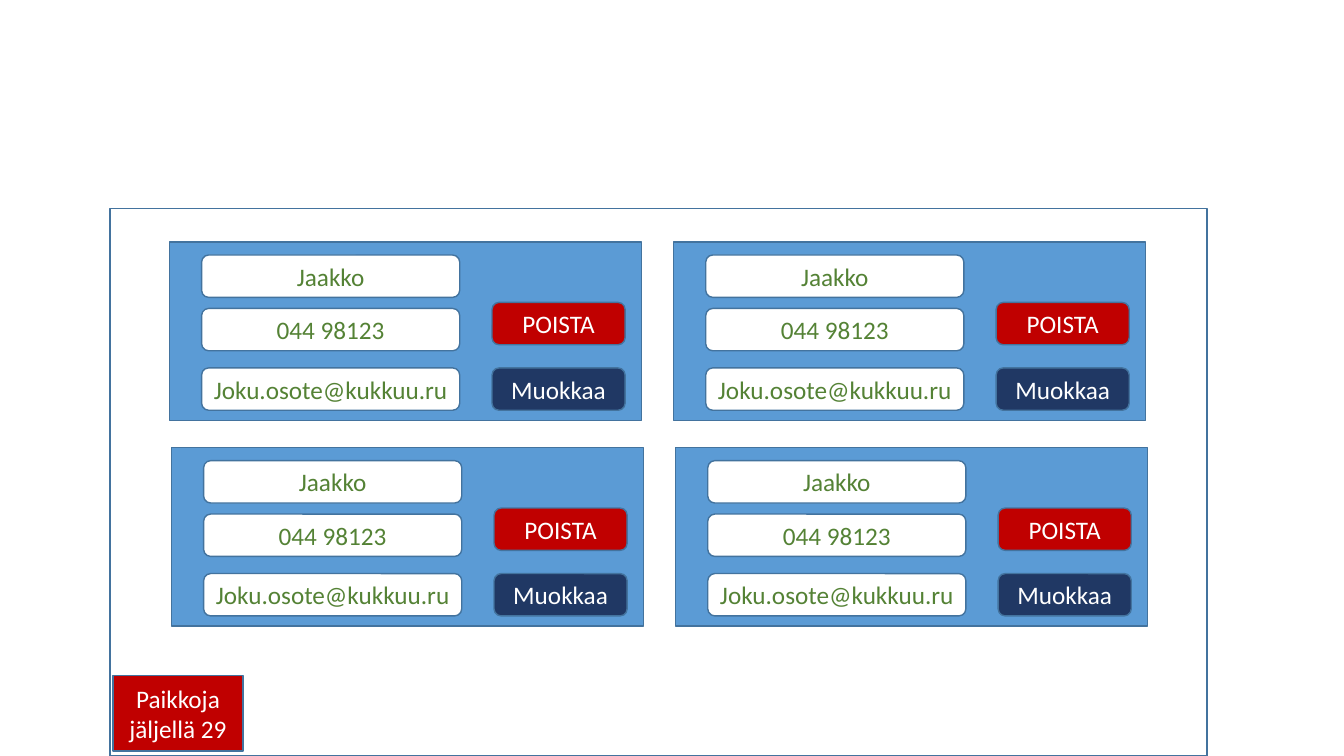
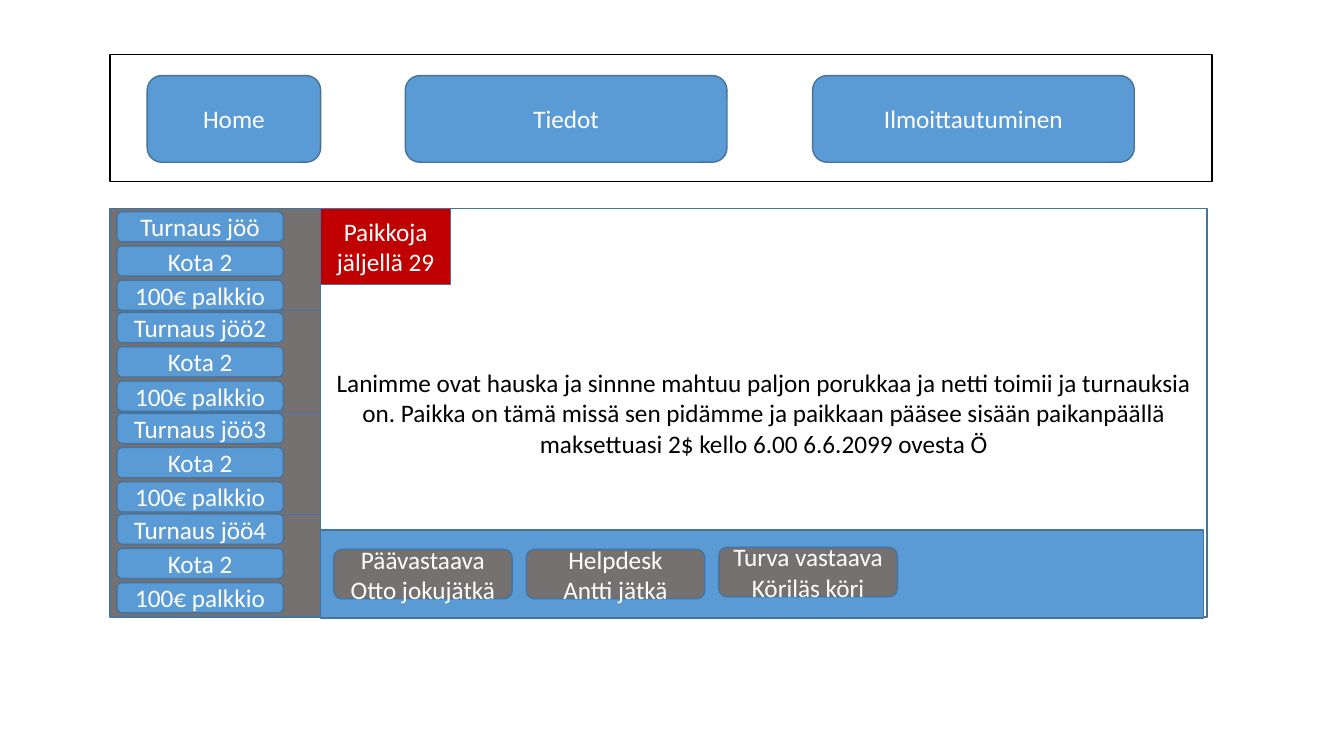
from dataclasses import dataclass
from typing import NamedTuple

from pptx import Presentation
from pptx.dml.color import RGBColor
from pptx.enum.shapes import MSO_SHAPE
from pptx.enum.text import MSO_ANCHOR, PP_ALIGN
from pptx.shapes.autoshape import Shape
from pptx.slide import Slide
from pptx.util import Inches, Pt


@dataclass(frozen=True)
class Theme:
    font: str = "Calibri"
    size: int = 18
    line_width: int = 1
    white: str = "FFFFFF"
    black: str = "000000"
    blue: str = "5B9BD5"
    outline: str = "43739E"
    navy: str = "203864"
    red: str = "C00000"
    green: str = "548235"
    gray: str = "767171"


class Box(NamedTuple):
    left: float
    top: float
    width: float
    height: float


class Item(NamedTuple):
    """A labelled box placed relative to the corner of its card."""
    text: str
    box: Box
    fill: str
    color: str


class Contact(NamedTuple):
    text: str
    top: float


THEME = Theme()

# Shared layout
LEFT, TOP = 1.09, 2.07

# Registration cards
CARD_CORNERS = [(left + column * 5, top)
                for left, top in ((1.68, 2.4), (1.7, 4.44))
                for column in range(2)]
CARD_ITEMS = [
    Item("Jaakko", Box(0.32, 0.13, 2.56, 0.42), THEME.white, THEME.green),
    Item("044 98123", Box(0.32, 0.66, 2.56, 0.42), THEME.white, THEME.green),
    Item("Joku.osote@kukkuu.ru", Box(0.32, 1.25, 2.56, 0.42), THEME.white, THEME.green),
    Item("POISTA", Box(3.2, 0.6, 1.32, 0.42), THEME.red, THEME.white),
    Item("Muokkaa", Box(3.2, 1.25, 1.32, 0.42), THEME.navy, THEME.white),
]

# Front page
NAVIGATION = [
    ("Home", 1.46, 1.72),
    ("Tiedot", 4.02, 3.19),
    ("Ilmoittautuminen", 8.06, 3.19),
]
TOURNAMENTS = ["Turnaus jöö", "Turnaus jöö2", "Turnaus jöö3", "Turnaus jöö4"]
TOURNAMENT_DETAILS = ["Kota 2", "100€ palkkio"]
CONTACTS = [
    Contact("Päävastaava\nOtto jokujätkä", 5.45),
    Contact("Helpdesk\nAntti jätkä", 5.45),
    Contact("Turva vastaava\nKöriläs köri", 5.43),
]
INTRO = ("Lanimme ovat hauska ja sinnne mahtuu paljon porukkaa ja netti toimii "
         "ja turnauksia on. Paikka on tämä missä sen pidämme ja paikkaan pääsee "
         "sisään paikanpäällä maksettuasi 2$ kello 6.00 6.6.2099 ovesta Ö")


def add_box(s: Slide, box: Box, fill: str, text: str = "",
            color: str = THEME.white, rounded: bool = False,
            outline: str = THEME.outline) -> Shape:
    """Draw a filled box with optional centred text."""
    kind = MSO_SHAPE.ROUNDED_RECTANGLE if rounded else MSO_SHAPE.RECTANGLE
    sp = s.shapes.add_shape(kind, *(Inches(value) for value in box))
    sp.shadow.inherit = False
    sp.fill.solid()
    sp.fill.fore_color.rgb = RGBColor.from_string(fill)
    sp.line.color.rgb = RGBColor.from_string(outline)
    sp.line.width = Pt(THEME.line_width)
    if text:
        tf = sp.text_frame
        tf.word_wrap = True
        tf.vertical_anchor = MSO_ANCHOR.MIDDLE
        tf.text = text
        for p in tf.paragraphs:
            p.alignment = PP_ALIGN.CENTER
            for r in p.runs:
                r.font.name = THEME.font
                r.font.size = Pt(THEME.size)
                r.font.color.rgb = RGBColor.from_string(color)
    return sp


def add_places_left(s: Slide, left: float, top: float) -> None:
    add_box(s, Box(left, top, 1.29, 0.75), THEME.red, "Paikkoja jäljellä 29")


def add_card(s: Slide, left: float, top: float) -> None:
    add_box(s, Box(left, top, 4.68, 1.77), THEME.blue)
    for item in CARD_ITEMS:
        box = item.box._replace(left=left + item.box.left, top=top + item.box.top)
        add_box(s, box, item.fill, item.text, item.color, rounded=True)


def add_navigation(s: Slide) -> None:
    add_box(s, Box(LEFT, 0.54, 10.93, 1.26), THEME.white, outline=THEME.black)
    for text, left, width in NAVIGATION:
        add_box(s, Box(left, 0.75, width, 0.86), THEME.blue, text, rounded=True)


def add_sidebar(s: Slide, width: float, height: float) -> None:
    panel_height = height / len(TOURNAMENTS)
    for i in range(len(TOURNAMENTS)):
        add_box(s, Box(LEFT, TOP + i * panel_height, width, panel_height), THEME.gray)
    for i, name in enumerate(TOURNAMENTS):
        for j, text in enumerate([name, *TOURNAMENT_DETAILS]):
            box = Box(LEFT + 0.07, 2.1 + i + j * 0.34, 1.65, 0.3)
            add_box(s, box, THEME.blue, text, rounded=True)


def add_contacts(s: Slide, left: float) -> None:
    add_box(s, Box(left, 5.26, 8.76, 0.87), THEME.blue)
    for i, contact in enumerate(CONTACTS):
        box = Box(left + 0.13 + i * 1.91, contact.top, 1.77, 0.49)
        add_box(s, box, THEME.gray, contact.text, rounded=True)


def build_registrations(s: Slide) -> None:
    add_box(s, Box(LEFT, TOP, 10.88, 5.43), THEME.white)
    for left, top in CARD_CORNERS:
        add_card(s, left, top)
    add_places_left(s, 1.12, 6.7)


def build_front_page(s: Slide) -> None:
    sidebar_width, height = 2.09, 4.05
    content_left = LEFT + sidebar_width
    add_navigation(s)
    add_box(s, Box(content_left, TOP, 8.79, height), THEME.white, INTRO, THEME.black)
    add_places_left(s, content_left, TOP)
    add_sidebar(s, sidebar_width, height)
    add_contacts(s, content_left)


def main() -> None:
    prs = Presentation()
    prs.slide_width, prs.slide_height = Inches(13.33), Inches(7.5)
    blank = prs.slide_layouts[6]
    for build in (build_registrations, build_front_page):
        build(prs.slides.add_slide(blank))
    prs.save("out.pptx")


if __name__ == "__main__":
    main()
